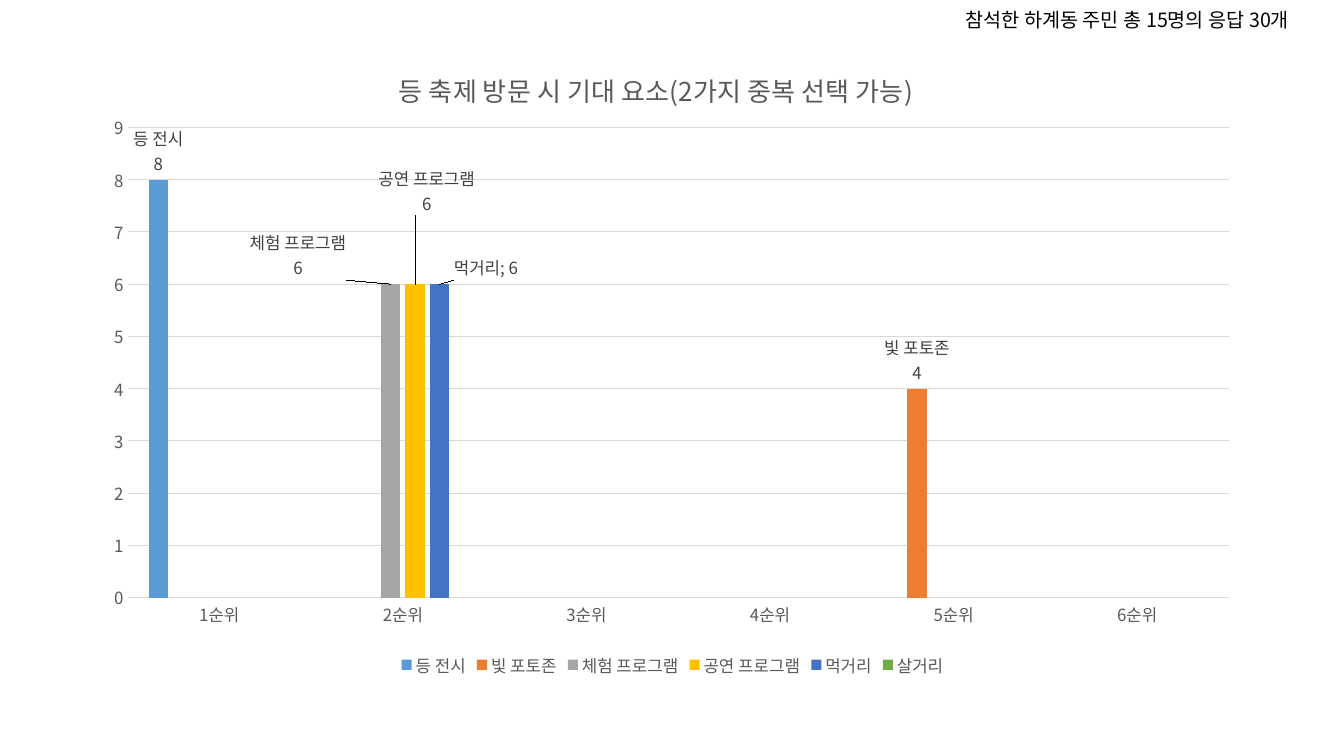
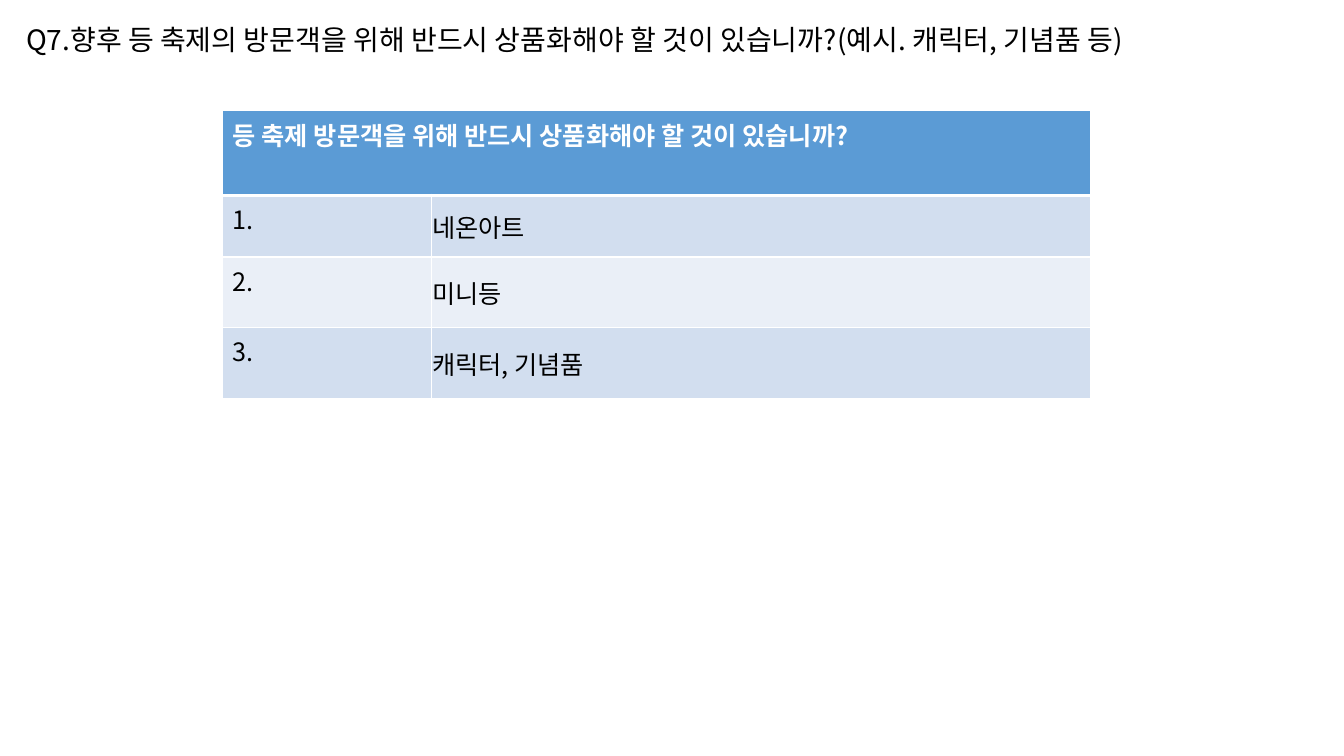
from lxml import etree
from pptx import Presentation
from pptx.chart.data import CategoryChartData
from pptx.dml.color import RGBColor
from pptx.enum.chart import XL_CHART_TYPE as CT, XL_LABEL_POSITION as LP
from pptx.enum.chart import XL_LEGEND_POSITION as LEG, XL_TICK_MARK as TICK
from pptx.enum.text import MSO_ANCHOR as ANCHOR, MSO_AUTO_SIZE as AUTO
from pptx.oxml import parse_xml
from pptx.oxml.ns import nsdecls, qn
from pptx.util import Inches, Pt

FONT = "Noto Sans CJK KR"
BLACK, WHITE, GREY, DARK, RULE = "000000", "FFFFFF", "595959", "404040", "D9D9D9"
BLUE, BANDS = "5B9BD5", ("D2DEEF", "EAEFF7")
BOTH = "\n"

CATEGORIES = [f"{n}순위" for n in range(1, 7)]
# name, colour, rank, votes, label shift, label separator
SERIES = [
    ("등 전시", BLUE, 1, 8, None, BOTH),
    ("빛 포토존", "ED7D31", 5, 4, None, BOTH),
    ("체험 프로그램", "A5A5A5", 2, 6, (-0.08, 0), BOTH),
    ("공연 프로그램", "FFC000", 2, 6, (0.01, -0.1), BOTH),
    ("먹거리", "4472C4", 2, 6, (0.04, 0), "; "),
    ("살거리", "70AD47", None, None, None, BOTH),
]


def rgb(value):
    """Turn a hex string into a colour."""
    return RGBColor.from_string(value)


def style(font, size, color, bold=False):
    """Give a font its size, colour and Latin and East Asian typeface."""
    font.size, font.bold, font.name = Pt(size), bold, FONT
    font.color.rgb = rgb(color)
    etree.SubElement(font._rPr, qn("a:ea")).set("typeface", FONT)


def write(tf, text, size, color, bold=False):
    """Write one styled run in the first paragraph of a text frame."""
    r = tf.paragraphs[0].add_run()
    r.text = text
    style(r.font, size, color, bold)


def add_note(slide, box, text, size):
    """Place a one-line text box that grows with its text."""
    tf = slide.shapes.add_textbox(*map(Inches, box)).text_frame
    tf.word_wrap, tf.auto_size = False, AUTO.SHAPE_TO_FIT_TEXT
    write(tf, text, size, BLACK)


def set_layout(parent, index, inner=False, **shares):
    """Place a chart part by shares of the chart's size."""
    for old in parent.findall(qn("c:layout")):
        parent.remove(old)
    layout = etree.Element(qn("c:layout"))
    manual = etree.SubElement(layout, qn("c:manualLayout"))
    modes = {"layoutTarget": "inner"} if inner else {}
    if inner or parent.tag == qn("c:title"):
        modes |= {"xMode": "edge", "yMode": "edge"}
    for tag, value in (modes | shares).items():
        etree.SubElement(manual, qn(f"c:{tag}")).set("val", str(value))
    parent.insert(index, layout)


def set_separator(labels, text):
    """Show the series name with the value, parted by the given text."""
    labels.find(qn("c:showSerName")).set("val", "1")
    sep = etree.Element(qn("c:separator"))
    sep.text = text
    labels.find(qn("c:showBubbleSize")).addnext(sep)


def style_series(series, color, rank, shift, separator):
    """Colour the bars of a series and label them."""
    series.format.fill.solid()
    series.format.fill.fore_color.rgb = rgb(color)
    labels = series.data_labels
    labels.show_value, labels.position = True, LP.OUTSIDE_END
    style(labels.font, 12, DARK)
    set_separator(labels._element, separator)
    if shift:
        label = series.points[rank - 1].data_label
        label.position = LP.OUTSIDE_END
        style(label.font, 12, DARK)
        dLbl = labels._element.find(qn("c:dLbl"))
        set_separator(dLbl, separator)
        set_layout(dLbl, 1, x=shift[0], y=shift[1])


def style_axes(chart):
    """Draw pale rules and grey tick labels."""
    cat, val = chart.category_axis, chart.value_axis
    for axis in (cat, val):
        axis.major_tick_mark = axis.minor_tick_mark = TICK.NONE
        style(axis.tick_labels.font, 12, GREY)
    val.minimum_scale, val.maximum_scale, val.major_unit = 0, 9, 1
    val.format.line.fill.background()
    for line in (cat.format.line, val.major_gridlines.format.line):
        line.color.rgb, line.width = rgb(RULE), Pt(0.75)


def add_vote_chart(slide, box, title):
    """Place the clustered column chart of votes by rank."""
    data = CategoryChartData()
    data.categories = CATEGORIES
    for name, _, rank, votes, *_ in SERIES:
        data.add_series(name, [votes if n == rank else None for n in range(1, 7)])
    chart = slide.shapes.add_chart(CT.COLUMN_CLUSTERED, *map(Inches, box), data).chart
    chart.has_title = chart.has_legend = True
    write(chart.chart_title.text_frame, title, 18.6, GREY)
    set_layout(chart.chart_title._element, 1, x=0.26, y=0.04)
    chart.legend.position, chart.legend.include_in_layout = LEG.BOTTOM, False
    style(chart.legend.font, 12, GREY)
    style_axes(chart)
    plot = chart.plots[0]
    plot.gap_width, plot.overlap, plot.vary_by_categories = 219, -27, False
    for series, (_, color, rank, _, shift, separator) in zip(plot.series, SERIES):
        style_series(series, color, rank, shift, separator)
    set_layout(plot._element.getparent(), 0, True, x=0.03, y=0.14, w=0.95, h=0.73)


def style_cell(cell, fill, top=1, bottom=1):
    """Fill a cell and draw its white borders."""
    cell.fill.solid()
    cell.fill.fore_color.rgb = rgb(fill)
    tcPr = cell._tc.get_or_add_tcPr()
    for i, (side, width) in enumerate(zip("LRTB", (1, 1, top, bottom))):
        tcPr.insert(i, parse_xml(
            f'<a:ln{side} {nsdecls("a")} w="{Pt(width)}"><a:solidFill>'
            f'<a:srgbClr val="{WHITE}"/></a:solidFill></a:ln{side}>'))


def add_answer_table(slide, box, header, answers, cols, rows):
    """Place a numbered list of answers under a merged header."""
    table = slide.shapes.add_table(len(rows), len(cols), *map(Inches, box)).table
    for col, share in zip(table.columns, cols):
        col.width = Inches(box[2] * share / sum(cols))
    for row, share in zip(table.rows, rows):
        row.height = Inches(box[3] * share / sum(rows))
    for cell in table.rows[0].cells:
        style_cell(cell, BLUE, bottom=3)
    table.cell(0, 0).merge(table.cell(0, 1))
    write(table.cell(0, 0).text_frame, header, 18, WHITE, True)
    for n, answer in enumerate(answers, 1):
        number, cell = table.rows[n].cells
        for c, text in ((number, f"{n}."), (cell, answer)):
            style_cell(c, BANDS[(n - 1) % 2], top=3 if n == 1 else 1)
            write(c.text_frame, text, 18, BLACK)
        cell.vertical_anchor = ANCHOR.MIDDLE
        cell.margin_left = cell.margin_top = cell.margin_right = Inches(0.01)
        cell.margin_bottom = 0


def expectation_slide(slide):
    """Build the slide on what visitors expect."""
    add_vote_chart(slide, (0.92, 0.37, 11.5, 6.39),
                   "등 축제 방문 시 기대 요소(2가지 중복 선택 가능)")
    add_note(slide, (9.48, 0.03, 3.86, 0.34),
             "참석한 하계동 주민 총 15명의 응답 30개", 14)


def goods_slide(slide):
    """Build the slide on goods to be made."""
    add_answer_table(slide, (2.21, 1.1, 8.61, 2.85),
                     "등 축제 방문객을 위해 반드시 상품화해야 할 것이 있습니까?",
                     ("네온아트", "미니등", "캐릭터, 기념품"),
                     (2.07, 6.55), (0.84, 0.61, 0.7, 0.7))
    add_note(slide, (0.16, 0.17, 12.25, 0.44),
             "Q7.향후 등 축제의 방문객을 위해 반드시 상품화해야 할 것이 있습니까?"
             "(예시. 캐릭터, 기념품 등)", 20)


prs = Presentation()
prs.slide_width, prs.slide_height = Inches(13.33), Inches(7.5)
for build in (expectation_slide, goods_slide):
    build(prs.slides.add_slide(prs.slide_layouts[6]))
prs.save("out.pptx")
